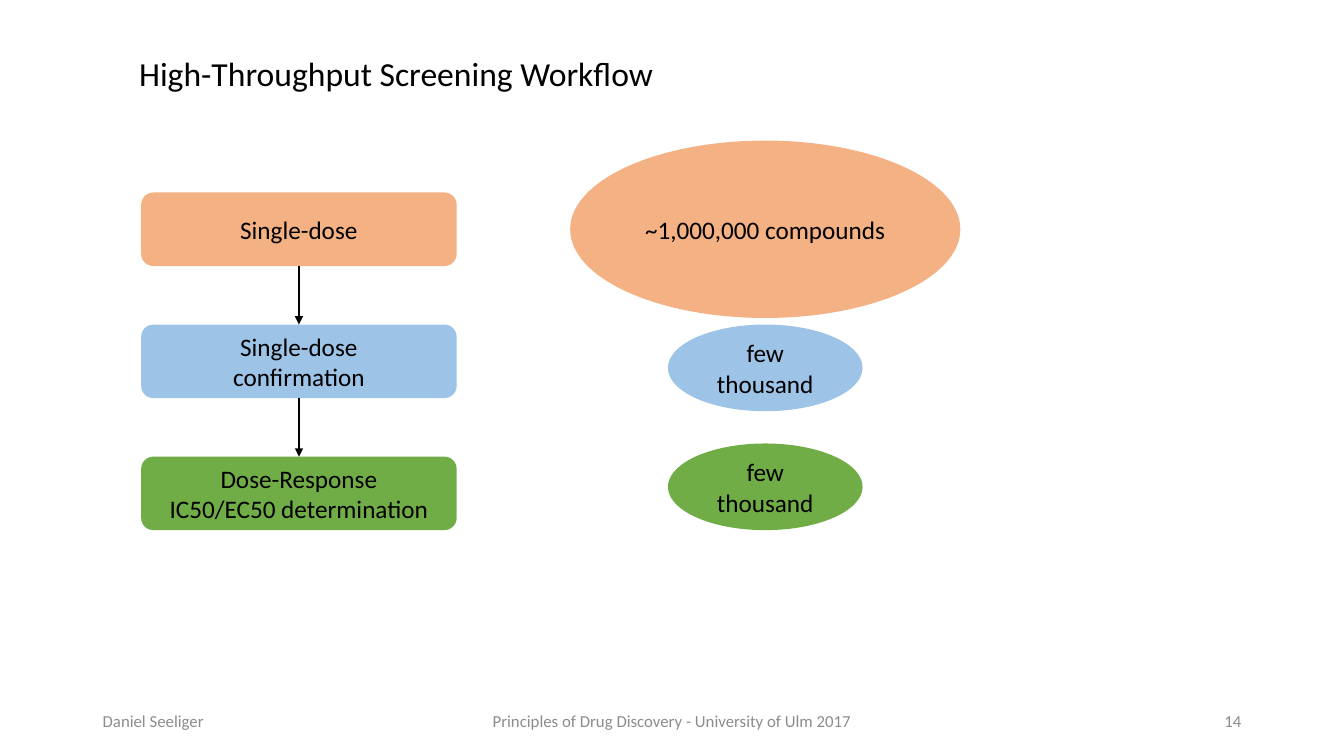
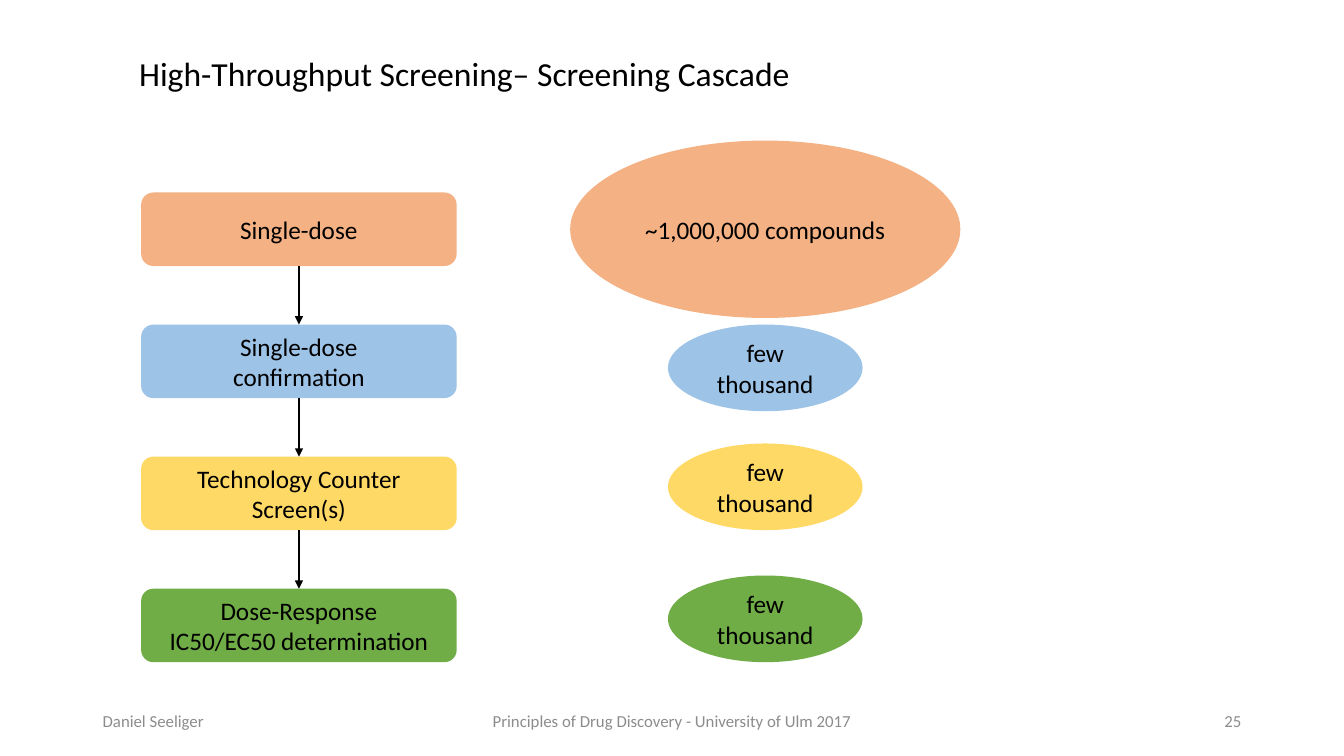
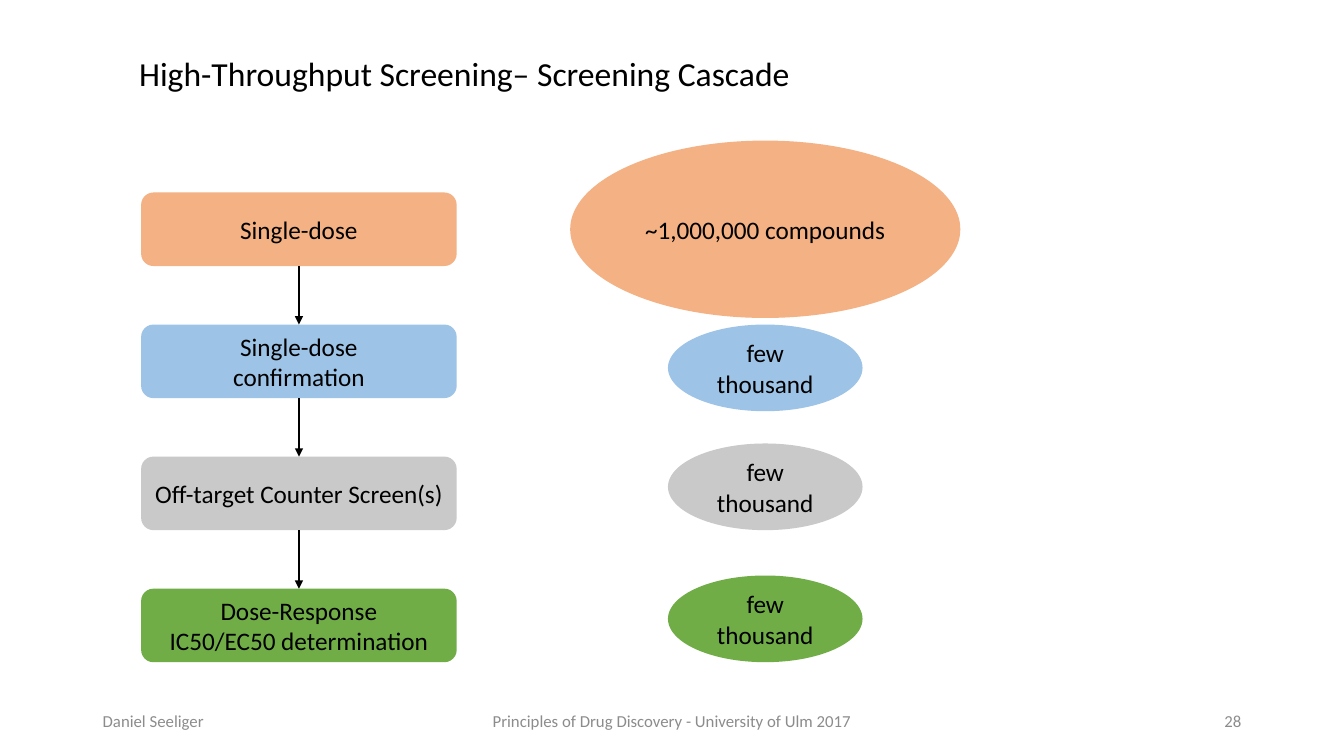
from lxml import etree
from pptx import Presentation
from pptx import util as u
from pptx.dml.color import RGBColor
from pptx.enum import shapes, text
from pptx.oxml import ns

THEME = {
    "font": "Calibri",
    "sizes": {"title": 24, "body": 18, "footer": 12},
    "ink": "000000", "muted": "8C8C8C",
    "orange": "F4B183", "blue": "9DC3E6", "yellow": "FFD966",
    "grey": "C9C9C9", "green": "70AD47",
}
LEFT, CENTER, RIGHT = text.PP_ALIGN.LEFT, text.PP_ALIGN.CENTER, text.PP_ALIGN.RIGHT
TOP, MIDDLE = text.MSO_ANCHOR.TOP, text.MSO_ANCHOR.MIDDLE

SCREEN = ("orange", ["Single-dose"], "~1,000,000 compounds")
CONFIRM = ("blue", ["Single-dose", "confirmation"], "few thousand")
TECHNOLOGY = ("yellow", ["Technology Counter Screen(s)"], "few thousand")
OFF_TARGET = ("grey", ["Off-target Counter Screen(s)"], "few thousand")
RESPONSE = ("green", ["Dose-Response", "IC50/EC50 determination"], "few thousand")

CASCADE = "High-Throughput Screening– Screening Cascade"
SLIDES = [
    ("High-Throughput Screening Workflow", 5.35, 14, [SCREEN, CONFIRM, RESPONSE]),
    (CASCADE, 6.72, 25, [SCREEN, CONFIRM, TECHNOLOGY, RESPONSE]),
    (CASCADE, 6.72, 28, [SCREEN, CONFIRM, OFF_TARGET, RESPONSE]),
]
AUTHOR = "Daniel Seeliger"
COURSE = "Principles of Drug Discovery - University of Ulm 2017"

WIDTH, HEIGHT = 13.33, 7.5
MARGIN, FOOTER_TOP, FOOTER_HEIGHT = 0.92, 6.95, 0.4
STEP_LEFT, STEP_TOP, STEP_WIDTH, STEP_HEIGHT, PITCH = 1.4, 1.91, 3.13, 0.73, 1.31
COUNT_CENTER = 7.59
COUNT_SIZES = [(3.87, 1.76)] + [(1.93, 0.86)] * 3
COUNT_ALIGN = [0.5, 0, 1, 1]


def inches(*values):
    return [u.Inches(value) for value in values]


def apply(target, values):
    for name, value in values.items():
        setattr(target, name, value)


def write(shape, lines, role, color="ink", align=CENTER, anchor=MIDDLE, wrap=True):
    frame = shape.text_frame
    frame.text = "\n".join(lines)
    apply(frame, {"word_wrap": wrap, "vertical_anchor": anchor})
    for para in frame.paragraphs:
        para.alignment = align
        apply(para.font, {"name": THEME["font"], "size": u.Pt(THEME["sizes"][role])})
        para.font.color.rgb = RGBColor.from_string(THEME[color])


def add_title(page, title, width):
    box = page.shapes.title
    left, top, width, height = inches(1.28, 0.47, width, 0.5)
    apply(box, {"left": left, "top": top, "width": width, "height": height})
    write(box, [title], "title", align=LEFT, anchor=TOP, wrap=False)
    box.text_frame.auto_size = text.MSO_AUTO_SIZE.SHAPE_TO_FIT_TEXT


def add_block(page, kind, area, color, lines):
    block = page.shapes.add_shape(kind, *inches(*area))
    block.shadow.inherit = False
    block.fill.solid()
    block.fill.fore_color.rgb = RGBColor.from_string(THEME[color])
    block.line.fill.background()
    write(block, lines, "body")


def add_arrow(page, x, start, end):
    arrow = page.shapes.add_connector(
        shapes.MSO_CONNECTOR.STRAIGHT, *inches(x, start, x, end))
    arrow.line.color.rgb = RGBColor.from_string(THEME["ink"])
    arrow.line.width = u.Pt(1.5)
    etree.SubElement(arrow.line._get_or_add_ln(), ns.qn("a:tailEnd"), type="triangle")
    etree.SubElement(arrow._element.spPr, ns.qn("a:effectLst"))


def add_steps(page, steps):
    for row, (color, lines, count) in enumerate(steps):
        top = STEP_TOP + row * PITCH
        add_block(page, shapes.MSO_SHAPE.ROUNDED_RECTANGLE,
                  (STEP_LEFT, top, STEP_WIDTH, STEP_HEIGHT), color, lines)
        width, height = COUNT_SIZES[row]
        count_top = top + (STEP_HEIGHT - height) * COUNT_ALIGN[row]
        add_block(page, shapes.MSO_SHAPE.OVAL,
                  (COUNT_CENTER - width / 2, count_top, width, height), color, [count])
        if row:
            add_arrow(page, STEP_LEFT + STEP_WIDTH / 2, top - PITCH + STEP_HEIGHT, top)


def add_footer(page, number):
    parts = [
        (AUTHOR, MARGIN, 3, LEFT),
        (COURSE, (WIDTH - 4.5) / 2, 4.5, CENTER),
        (str(number), WIDTH - MARGIN - 3, 3, RIGHT),
    ]
    for label, left, width, align in parts:
        box = page.shapes.add_textbox(*inches(left, FOOTER_TOP, width, FOOTER_HEIGHT))
        write(box, [label], "footer", "muted", align)


def main():
    deck = Presentation()
    deck.slide_width, deck.slide_height = inches(WIDTH, HEIGHT)
    for title, width, number, steps in SLIDES:
        page = deck.slides.add_slide(deck.slide_layouts[5])
        add_title(page, title, width)
        add_steps(page, steps)
        add_footer(page, number)
    deck.save("out.pptx")


if __name__ == "__main__":
    main()
